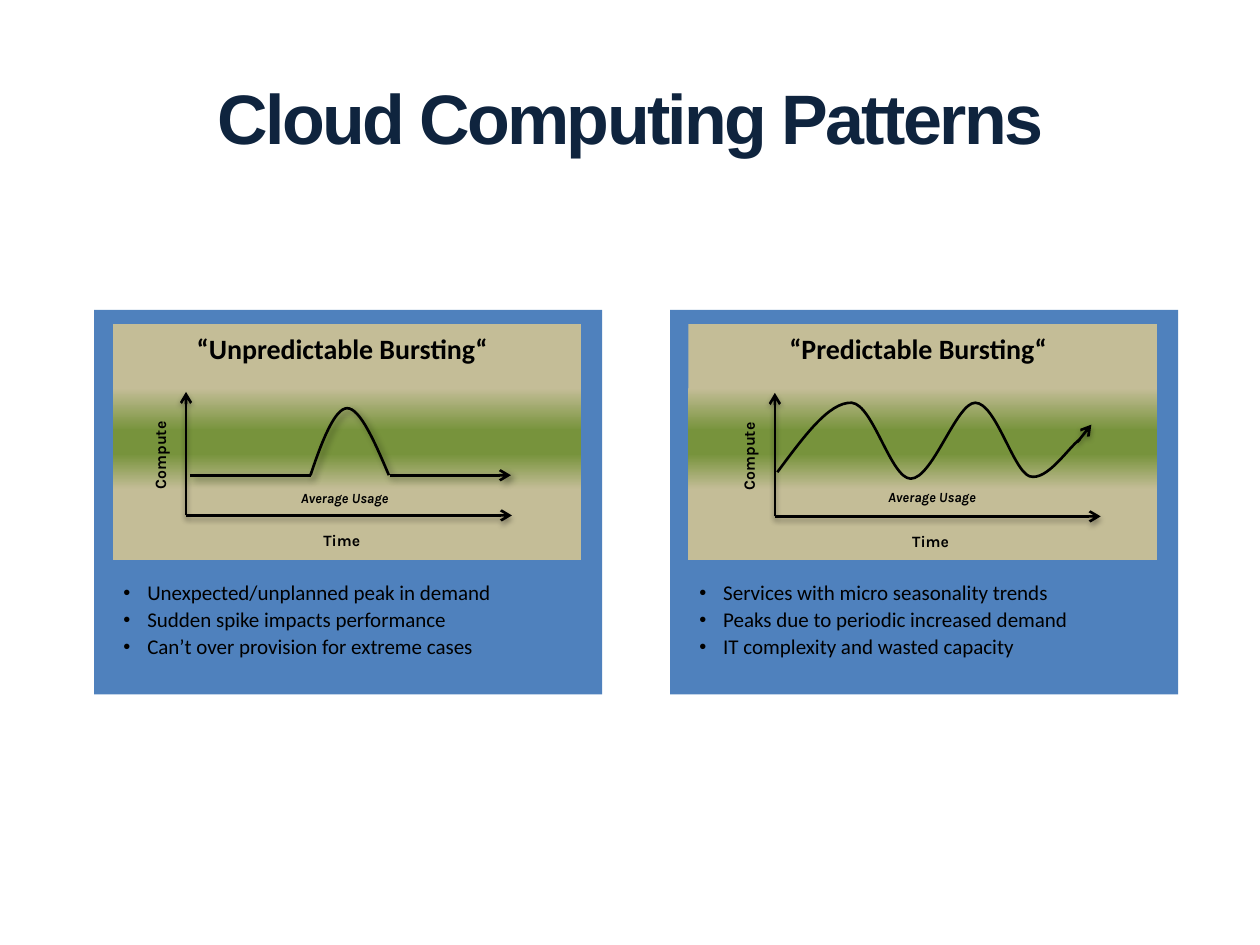
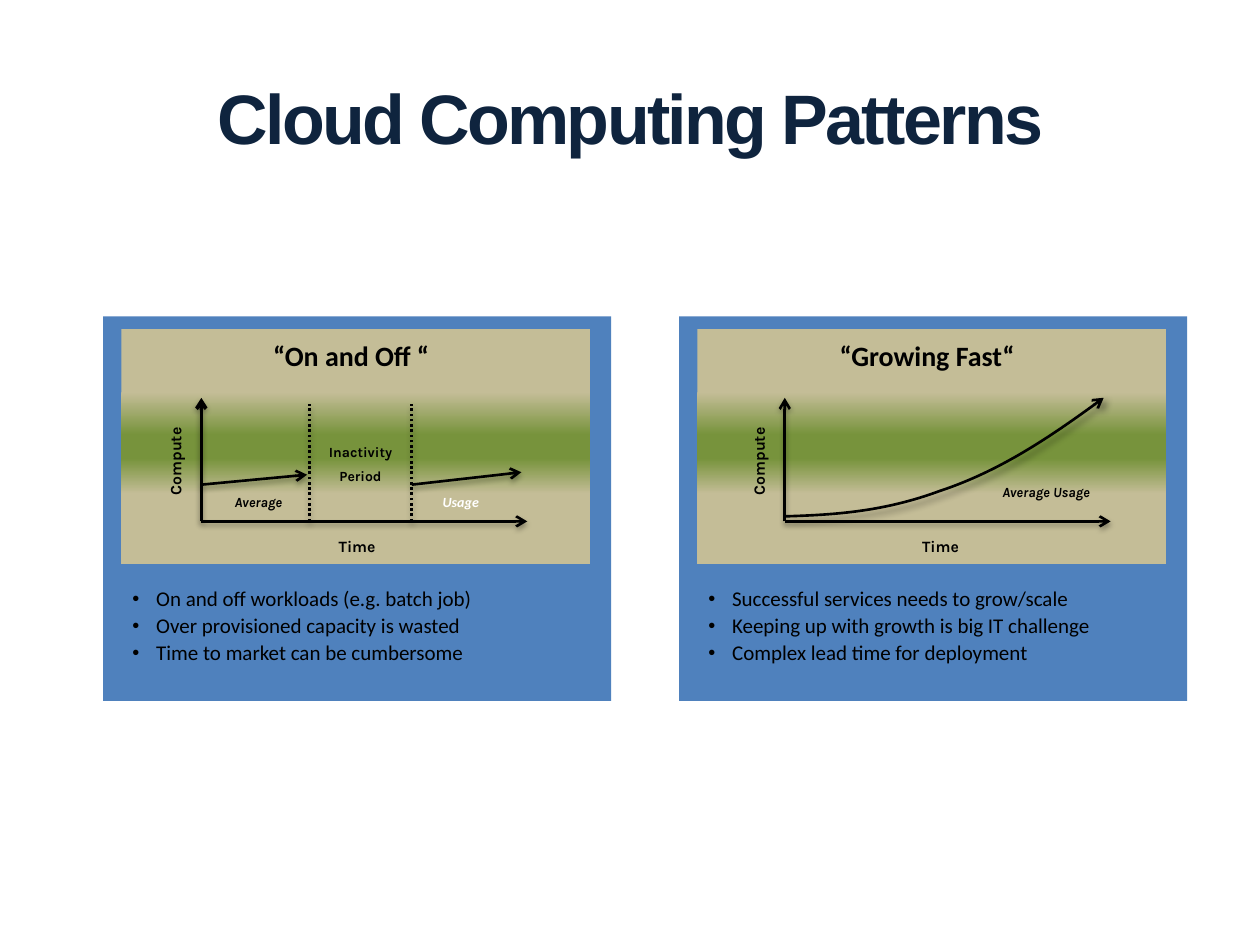
from dataclasses import dataclass

from lxml.etree import SubElement
from pptx import Presentation
from pptx.dml.color import RGBColor
from pptx.enum.dml import MSO_LINE
from pptx.enum.shapes import MSO_CONNECTOR, MSO_SHAPE
from pptx.enum.text import MSO_ANCHOR, PP_ALIGN
from pptx.oxml.ns import qn
from pptx.util import Cm, Pt


@dataclass(frozen=True)
class Theme:
    ink: RGBColor = RGBColor(0, 0, 0)
    white: RGBColor = RGBColor(255, 255, 255)
    navy: RGBColor = RGBColor(0x0F, 0x24, 0x3E)
    card: RGBColor = RGBColor(0x4F, 0x81, 0xBD)
    sand: str = "C4BD97"
    green: str = "77933C"
    stroke: float = 1.5

    def font(self, role):
        """Return the font attributes of one text role."""
        name, size, bold, italic, color = {
            "title": ("Arial", 40, True, False, self.navy),
            "heading": ("Calibri", 16, True, False, self.ink),
            "axis": ("Karla", 9, True, False, self.ink),
            "note": ("Karla", 8, True, False, self.ink),
            "usage": ("Karla", 8, True, True, self.ink),
            "usage_light": ("Calibri", 8, True, True, self.white),
            "bullet": ("Calibri", 12, False, False, self.ink),
        }[role]
        return {"name": name, "size": Pt(size), "bold": bold, "italic": italic}, color


# Shadows: opacity %, blur pt, distance pt, direction in degrees
AXIS_SHADOW = (35, 3.1, 1.8, 90)
CURVE_SHADOW = (40, 4, 3, 45)

# Shared geometry in cm
CARD_SIZE = (10.24, 7.75)
CARD_PITCH = 11.61
PLOT_INSET = 0.37
PLOT_SIZE = (9.45, 4.75)
AXIS_UP, AXIS_RIGHT = 2.49, 6.57


class SlideBuilder:
    def __init__(self, deck, theme):
        self.deck = deck
        self.theme = theme
        self.slide = None
        self.origin = (0, 0)

    def new_slide(self, title):
        self.slide = self.deck.slides.add_slide(self.deck.slide_layouts[6])
        paragraph = self.text([title], "title", (0.64, 1.07, 24.13, 2.54),
                              anchor=MSO_ANCHOR.MIDDLE)[0]
        paragraph.runs[0].font._element.set("spc", "-150")

    def text(self, lines, role, box, anchor=MSO_ANCHOR.TOP, rotation=0, bulleted=False, **spacing):
        """Add a text box without insets; spacing holds paragraph attributes."""
        shape = self.slide.shapes.add_textbox(*map(Cm, box))
        shape.rotation = rotation
        frame = shape.text_frame
        settings = {"word_wrap": True, "vertical_anchor": anchor}
        settings |= {f"margin_{side}": 0 for side in ("left", "top", "right", "bottom")}
        for attribute, value in settings.items():
            setattr(frame, attribute, value)
        font_format, color = self.theme.font(role)
        for index, line in enumerate(lines):
            paragraph = frame.paragraphs[0] if index == 0 else frame.add_paragraph()
            paragraph.alignment = PP_ALIGN.LEFT if bulleted else PP_ALIGN.CENTER
            for attribute, value in spacing.items():
                if index or attribute != "space_before":
                    setattr(paragraph, attribute, value)
            if bulleted:
                self.add_bullet(paragraph)
            run = paragraph.add_run()
            run.text = line
            for attribute, value in font_format.items():
                setattr(run.font, attribute, value)
            run.font.color.rgb = color
        return frame.paragraphs

    @staticmethod
    def add_bullet(paragraph):
        properties = paragraph._p.get_or_add_pPr()
        properties.set("marL", str(Cm(0.48)))
        properties.set("indent", str(-Cm(0.48)))
        SubElement(properties, qn("a:buSzPct"), val="95000")
        SubElement(properties, qn("a:buFont"), typeface="Arial")
        SubElement(properties, qn("a:buChar"), char="•")

    def block(self, kind, box):
        shape = self.slide.shapes.add_shape(kind, *map(Cm, box))
        shape.shadow.inherit = False
        shape.line.fill.background()
        return shape

    def card(self, left, top):
        shape = self.block(MSO_SHAPE.ROUNDED_RECTANGLE, (left, top, *CARD_SIZE))
        shape.adjustments[0] = 0
        shape.fill.solid()
        shape.fill.fore_color.rgb = self.theme.card

    def plot(self, left, top):
        """Add the plot background: sand with a green band across the middle."""
        shape = self.block(MSO_SHAPE.RECTANGLE, (left, top, *PLOT_SIZE))
        shape.fill.gradient()
        gradient = shape._element.spPr.find(qn("a:gradFill"))
        stops = gradient.find(qn("a:gsLst"))
        for stop in list(stops):
            stops.remove(stop)
        sand, green = self.theme.sand, self.theme.green
        for percent, color in ((0, sand), (27, sand), (45, green),
                               (55, green), (70, sand), (100, sand)):
            stop = SubElement(stops, qn("a:gs"), pos=str(percent * 1000))
            SubElement(stop, qn("a:srgbClr"), val=color)
        gradient.find(qn("a:lin")).set("ang", str(90 * 60000))

    def place(self, point):
        """Turn a point in cm right of and above the axis origin into a slide position."""
        return Cm(self.origin[0] + point[0]), Cm(self.origin[1] - point[1])

    def stroke(self, shape, arrow, shadow, width=None, dash=None):
        shape.line.color.rgb = self.theme.ink
        shape.line.width = Pt(width or self.theme.stroke)
        if dash:
            shape.line.dash_style = dash
        properties = shape._element.spPr
        if arrow:
            SubElement(properties.find(qn("a:ln")), qn("a:tailEnd"), type="arrow")
        effects = SubElement(properties, qn("a:effectLst"))
        if shadow:
            opacity, blur, distance, direction = shadow
            outer = SubElement(effects, qn("a:outerShdw"), blurRad=str(Pt(blur)),
                               dist=str(Pt(distance)), dir=str(direction * 60000),
                               rotWithShape="0")
            color = SubElement(outer, qn("a:srgbClr"), val=str(self.theme.ink))
            SubElement(color, qn("a:alpha"), val=str(opacity * 1000))

    def line(self, start, end, arrow=True, shadow=AXIS_SHADOW, **look):
        connector = self.slide.shapes.add_connector(
            MSO_CONNECTOR.STRAIGHT, *self.place(start), *self.place(end))
        self.stroke(connector, arrow, shadow, **look)

    def curve(self, points, arrow=False, shadow=CURVE_SHADOW):
        """Draw Bézier curves: a start point, then two controls and an end for each."""
        start, *rest = map(self.place, points)
        builder = self.slide.shapes.build_freeform(*start)
        builder.add_line_segments(rest, close=False)
        shape = builder.convert_to_shape()
        outline = shape._element.spPr.find(".//" + qn("a:path"))
        segments = outline.findall(qn("a:lnTo"))
        for first in range(0, len(segments), 3):
            bezier = SubElement(outline, qn("a:cubicBezTo"))
            for segment in segments[first:first + 3]:
                bezier.append(segment[0])
                outline.remove(segment)
        shape.fill.background()
        self.stroke(shape, arrow, shadow)

    def label(self, lines, role, center, rise, size=(2.6, 0.38), **options):
        """Add text centred at a distance from the origin, its top at a rise above it."""
        left = self.origin[0] + center - size[0] / 2
        self.text(lines, role, (left, self.origin[1] - rise, *size), **options)

    def axes(self, width):
        self.line((0, 0), (0, AXIS_UP), width=width)
        self.line((0, 0), (AXIS_RIGHT, 0))
        self.label(["Compute"], "axis", -0.48, 1.35, (1.93, 0.28),
                   rotation=270, line_spacing=Pt(8))
        self.label(["Time"], "axis", 3.14, -0.41, (1.83, 0.3), line_spacing=Pt(8))

    def panel(self, pattern, left, top, plot_drop):
        self.origin = pattern.origin
        self.card(left, top)
        self.plot(left + PLOT_INSET, top + plot_drop)
        self.text([pattern.heading], "heading", (left + 1.3, top + 0.52, 7.4, 0.62),
                  line_spacing=0.9)
        self.axes(pattern.axis_width)
        pattern.draw(self)
        self.text(pattern.bullets, "bullet", (left + 0.59, top + 5.49, 9.4, 1.6),
                  bulleted=True, line_spacing=0.9, space_before=Pt(2.4))


def draw_single_peak(builder):
    builder.line((0.08, 0.81), (2.51, 0.81), arrow=False, shadow=CURVE_SHADOW)
    builder.curve([(2.51, 0.81), (2.74, 1.5), (3, 2.16), (3.25, 2.16),
                   (3.51, 2.16), (3.81, 1.47), (4.09, 0.81)])
    builder.line((4.11, 0.81), (6.55, 0.81), shadow=CURVE_SHADOW)
    builder.label(["Average Usage"], "usage", 3.2, 0.53)


def draw_waves(builder):
    builder.curve([(0.05, 0.89), (0.58, 1.6), (1.09, 2.31), (1.55, 2.29),
                   (1.98, 2.26), (2.34, 0.76), (2.74, 0.76),
                   (3.18, 0.76), (3.66, 2.29), (4.04, 2.29),
                   (4.45, 2.29), (4.8, 0.94), (5.13, 0.81),
                   (5.49, 0.69), (5.94, 1.42), (6.15, 1.55)], shadow=None)
    builder.line((6.1, 1.5), (6.38, 1.85))
    builder.label(["Average Usage"], "usage", 3.17, 0.56)


def draw_on_and_off(builder):
    builder.line((0, 0.74), (2.13, 0.94))
    builder.line((4.24, 0.74), (6.45, 0.99))
    for boundary in (2.18, 4.24):
        builder.line((boundary, 0), (boundary, 2.36), arrow=False, dash=MSO_LINE.ROUND_DOT)
    builder.label(["Inactivity", "Period"], "note", 3.21, 1.52, (2, 0.8),
                  line_spacing=Pt(8), space_after=Pt(6))
    builder.label(["Average"], "usage", 1.15, 0.56)
    builder.label(["Usage"], "usage_light", 5.23, 0.56)


def draw_growth(builder):
    builder.curve([(0, 0.1), (1.04, 0.13), (2.01, 0.2), (3.12, 0.61),
                   (4.27, 0.99), (5.36, 1.7), (6.43, 2.49)], arrow=True)
    builder.label(["Average Usage"], "usage", 5.27, 0.76)


@dataclass
class Pattern:
    heading: str
    origin: tuple
    draw: object
    bullets: list
    axis_width: float = 1.5


BURSTING = [
    Pattern("“Unpredictable Bursting“", (3.75, 10.39), draw_single_peak,
            ["Unexpected/unplanned peak in demand", "Sudden spike impacts performance",
             "Can’t over provision for extreme cases"]),
    Pattern("“Predictable Bursting“", (15.62, 10.41), draw_waves,
            ["Services with micro seasonality trends", "Peaks due to periodic increased demand",
             "IT complexity and wasted capacity"]),
]
SCALING = [
    Pattern("“On and Off “", (4.06, 10.51), draw_on_and_off,
            ["On and off workloads (e.g. batch job)", "Over provisioned capacity is wasted",
             "Time to market can be cumbersome"], axis_width=2),
    Pattern("“Growing Fast“", (15.82, 10.51), draw_growth,
            ["Successful services needs to grow/scale",
             "Keeping up with growth is big IT challenge", "Complex lead time for deployment"]),
]


def main():
    deck = Presentation()
    deck.slide_width, deck.slide_height = Cm(25.4), Cm(19.05)
    builder = SlideBuilder(deck, Theme())
    for patterns, left, top, plot_drop in ((BURSTING, 1.9, 6.25, 0.29), (SCALING, 2.08, 6.38, 0.25)):
        builder.new_slide("Cloud Computing Patterns")
        for column, pattern in enumerate(patterns):
            builder.panel(pattern, left + column * CARD_PITCH, top, plot_drop)
    deck.save("out.pptx")


if __name__ == "__main__":
    main()
